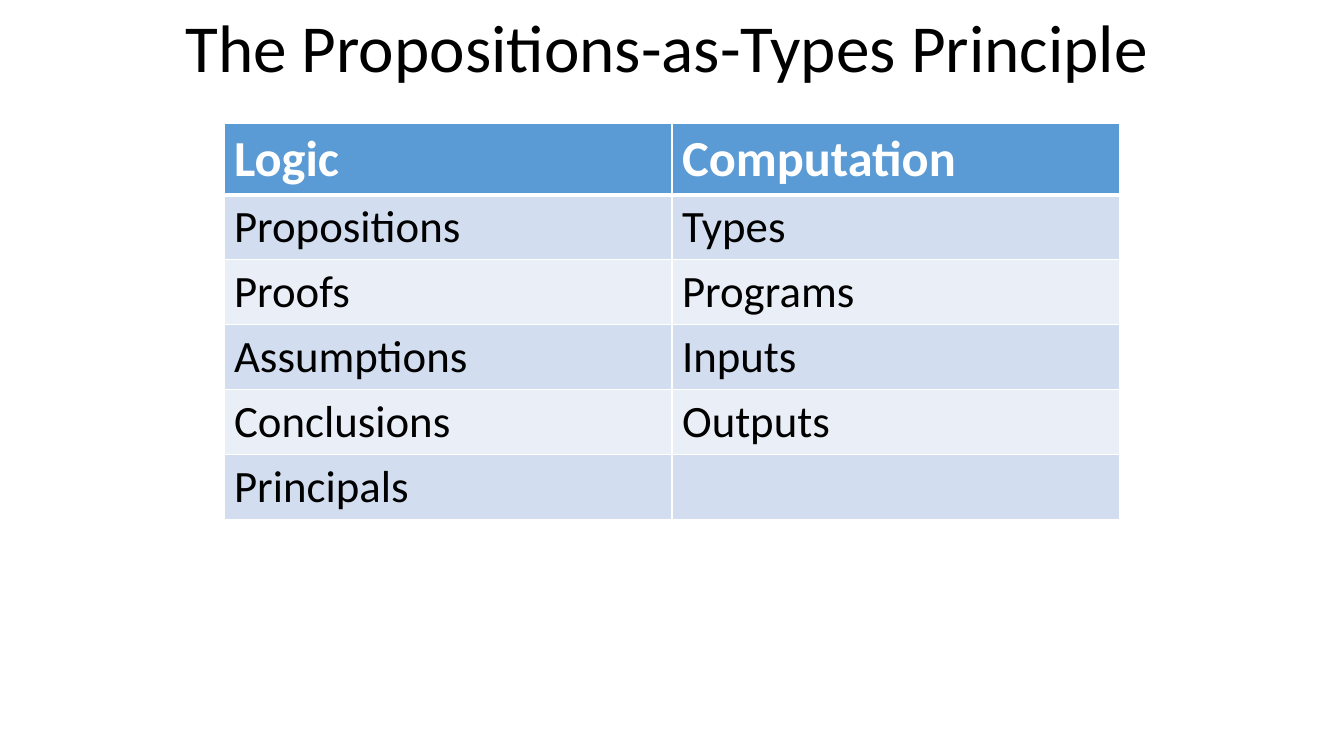
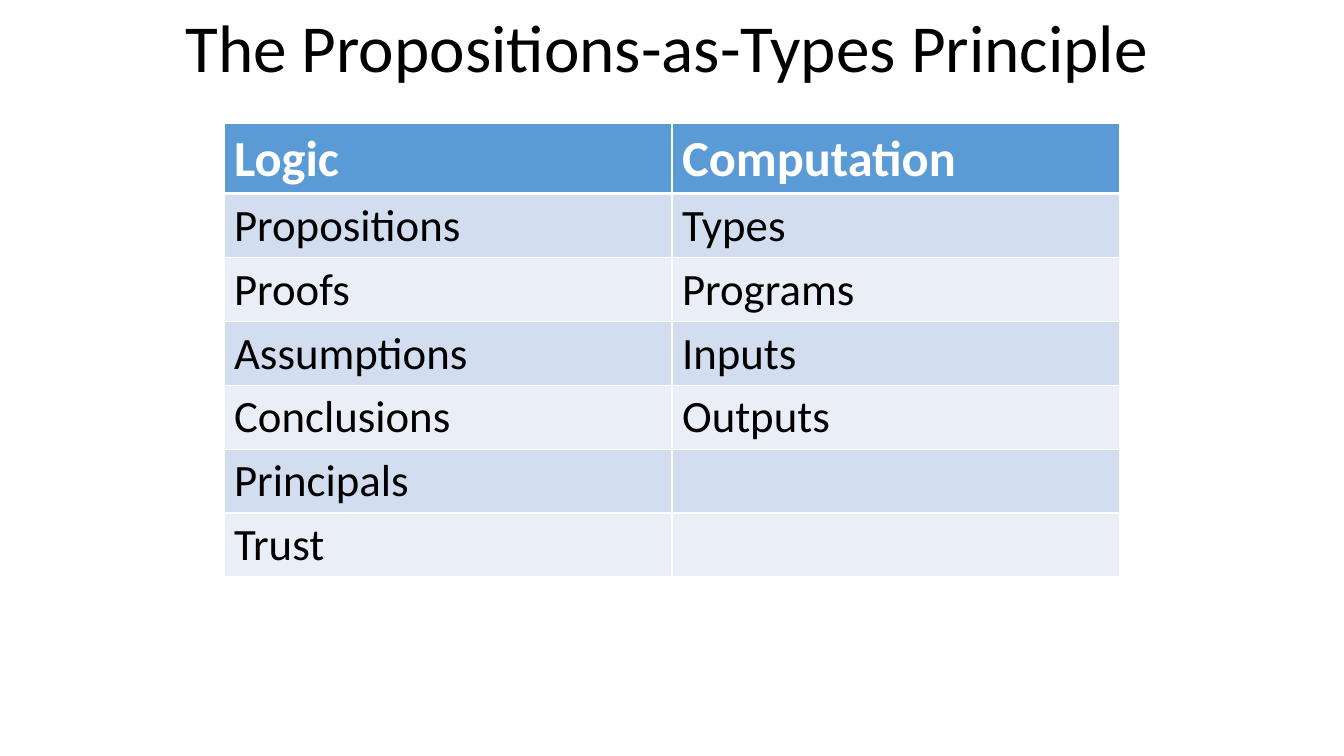
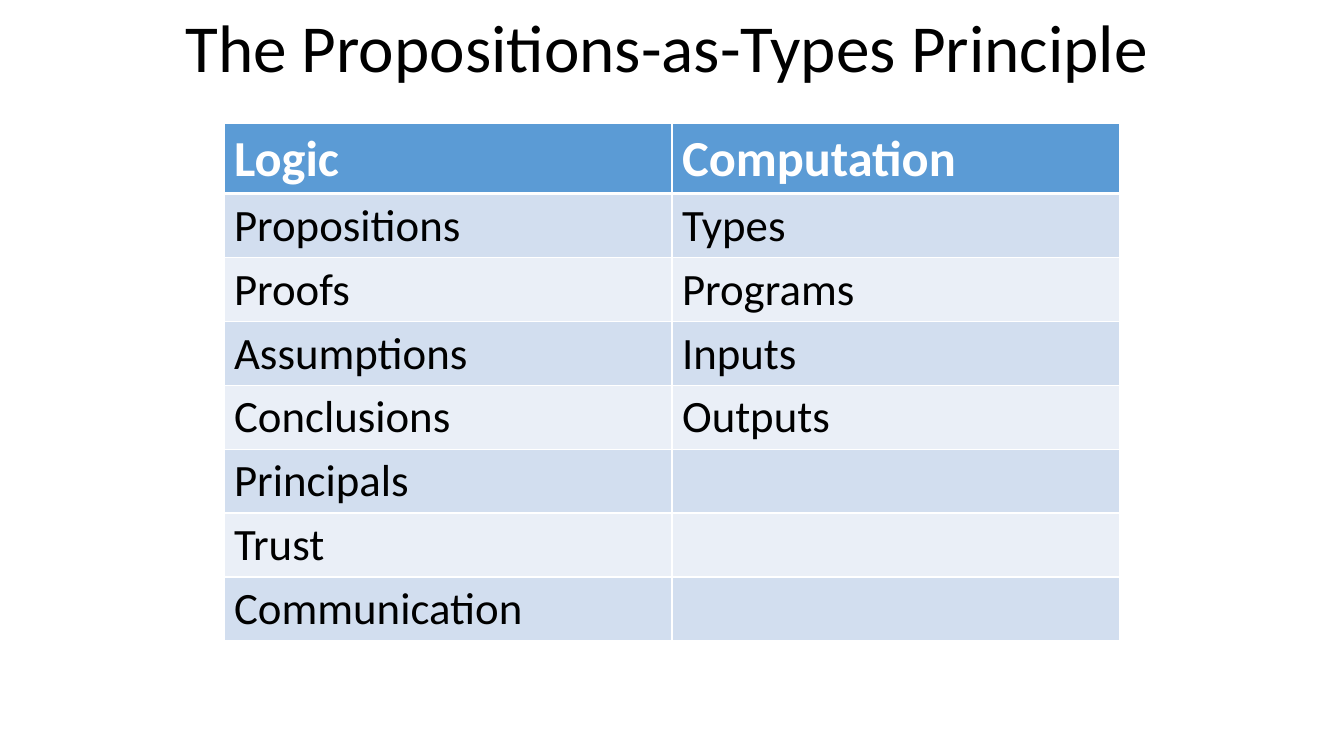
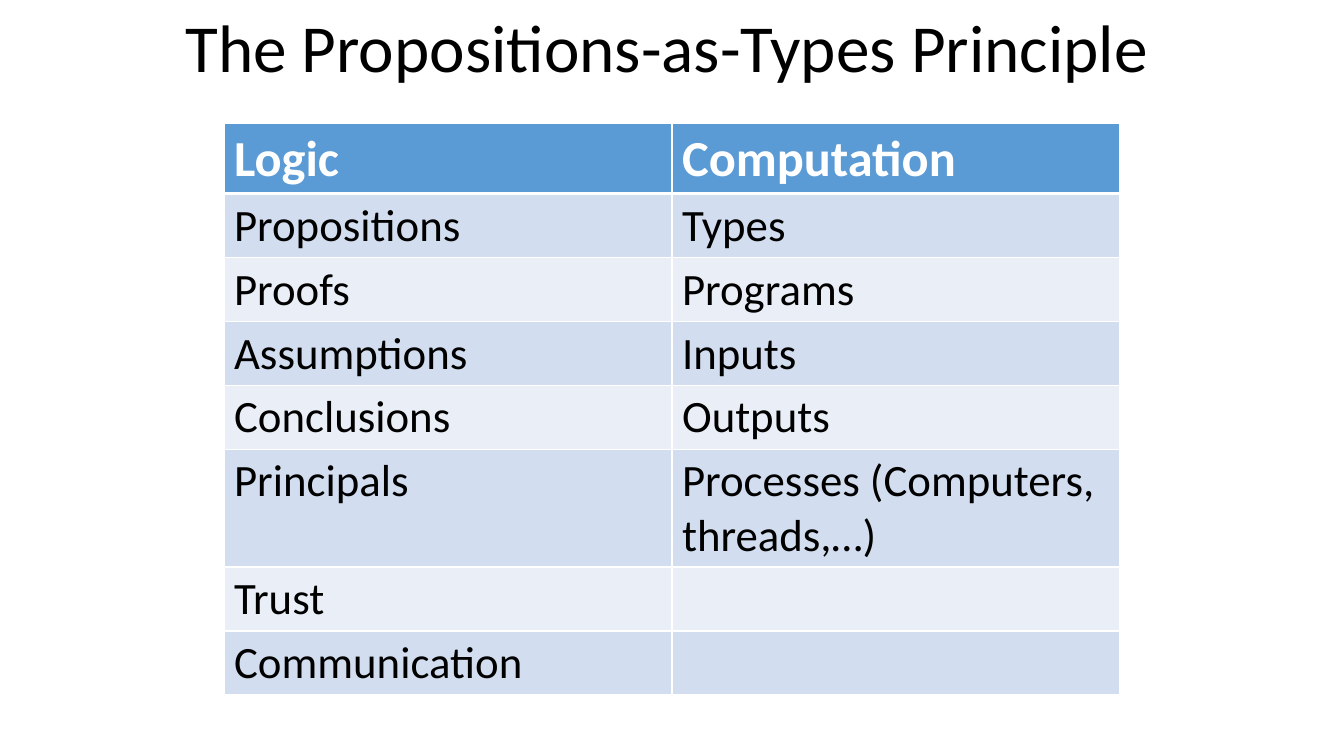
from dataclasses import dataclass
from math import ceil

from lxml.etree import SubElement
from pptx import Presentation
from pptx.dml.color import RGBColor
from pptx.enum.text import MSO_AUTO_SIZE
from pptx.oxml.ns import qn
from pptx.util import Inches, Pt

TITLE = "The Propositions-as-Types Principle"
HEADER = ("Logic", "Computation")
BASE_ROWS = [
    ("Propositions", "Types"),
    ("Proofs", "Programs"),
    ("Assumptions", "Inputs"),
    ("Conclusions", "Outputs"),
]
PRINCIPALS = ("Principals", "")
TRUST = ("Trust", "")
COMMUNICATION = ("Communication", "")
PROCESSES = ("Principals", "Processes (Computers, threads,…)")

SLIDE_ROWS = [
    BASE_ROWS + [PRINCIPALS],
    BASE_ROWS + [PRINCIPALS, TRUST],
    BASE_ROWS + [PRINCIPALS, TRUST, COMMUNICATION],
    BASE_ROWS + [PROCESSES, TRUST, COMMUNICATION],
]


@dataclass(frozen=True)
class Theme:
    font: str = "Calibri"
    title_size: int = 48
    header_size: int = 36
    body_size: int = 32
    text: str = "000000"
    white: str = "FFFFFF"
    header_fill: str = "5B9BD5"
    band_fills: tuple = ("D2DEEF", "EAEFF7")
    thin_border: int = 1
    thick_border: int = 3


THEME = Theme()
SLIDE_WIDTH, SLIDE_HEIGHT = 13.33, 7.5
TITLE_BOX = (1.74, 0, 9.86, 0.91)
TABLE_WIDTH = SLIDE_WIDTH * 2 / 3
TABLE_LEFT = (SLIDE_WIDTH - TABLE_WIDTH) / 2
TABLE_TOP = 1.22
HEADER_HEIGHT, ROW_HEIGHT, EXTRA_LINE_HEIGHT = 0.69, 0.63, 0.54
LINE_CHARACTERS = 24


def write_text(frame, text, *, size, color=THEME.text, bold=False):
    paragraph = frame.paragraphs[0]
    paragraph.text = text
    font = paragraph.font
    font.name, font.size, font.bold = THEME.font, Pt(size), bold
    font.color.rgb = RGBColor.from_string(color)


def set_borders(cell, *, top, bottom):
    """Add the border lines; call before the fill, which must follow them."""
    properties = cell._tc.get_or_add_tcPr()
    widths = {"lnL": THEME.thin_border, "lnR": THEME.thin_border, "lnT": top, "lnB": bottom}
    for side, width in widths.items():
        line = SubElement(properties, qn(f"a:{side}"), w=str(Pt(width)))
        fill = SubElement(line, qn("a:solidFill"))
        SubElement(fill, qn("a:srgbClr"), val=THEME.white)


def row_height(row):
    lines = max(1, *(ceil(len(text) / LINE_CHARACTERS) for text in row))
    return ROW_HEIGHT + (lines - 1) * EXTRA_LINE_HEIGHT


def add_comparison_table(slide, body_rows):
    rows = [HEADER] + body_rows
    heights = [HEADER_HEIGHT] + [row_height(row) for row in body_rows]
    box = (TABLE_LEFT, TABLE_TOP, TABLE_WIDTH, sum(heights))
    table = slide.shapes.add_table(len(rows), len(HEADER), *map(Inches, box)).table
    for row_index, (row, height) in enumerate(zip(rows, heights)):
        table.rows[row_index].height = Inches(height)
        is_header = row_index == 0
        fill = THEME.header_fill if is_header else THEME.band_fills[(row_index - 1) % 2]
        for column_index, text in enumerate(row):
            cell = table.cell(row_index, column_index)
            set_borders(
                cell,
                top=THEME.thick_border if row_index == 1 else THEME.thin_border,
                bottom=THEME.thick_border if is_header else THEME.thin_border,
            )
            cell.fill.solid()
            cell.fill.fore_color.rgb = RGBColor.from_string(fill)
            write_text(
                cell.text_frame, text, bold=is_header,
                size=THEME.header_size if is_header else THEME.body_size,
                color=THEME.white if is_header else THEME.text,
            )


def add_title(slide):
    frame = slide.shapes.add_textbox(*map(Inches, TITLE_BOX)).text_frame
    frame.word_wrap = False
    frame.auto_size = MSO_AUTO_SIZE.SHAPE_TO_FIT_TEXT
    write_text(frame, TITLE, size=THEME.title_size)


def main():
    presentation = Presentation()
    presentation.slide_width = Inches(SLIDE_WIDTH)
    presentation.slide_height = Inches(SLIDE_HEIGHT)
    blank_layout = presentation.slide_layouts[6]
    for body_rows in SLIDE_ROWS:
        slide = presentation.slides.add_slide(blank_layout)
        add_comparison_table(slide, body_rows)
        add_title(slide)
    presentation.save("out.pptx")


if __name__ == "__main__":
    main()
